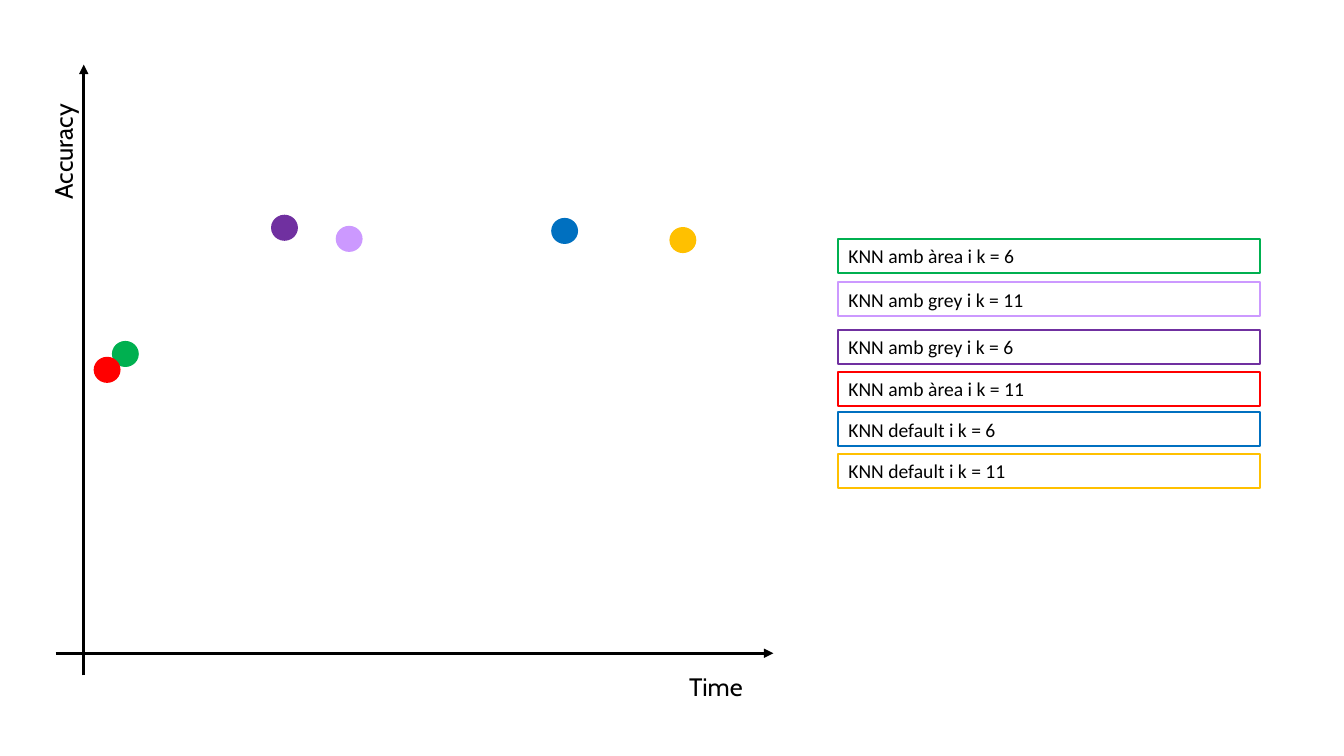
from lxml.etree import SubElement
from pptx import Presentation
from pptx.dml.color import RGBColor
from pptx.enum.shapes import MSO_CONNECTOR, MSO_SHAPE
from pptx.enum.text import MSO_ANCHOR, PP_ALIGN
from pptx.oxml.ns import qn
from pptx.util import Cm, Pt

GREEN, LILAC, PURPLE = "00B050", "CC99FF", "7030A0"
RED, BLUE, GOLD = "FF0000", "0070C0", "FFC000"
BLACK = "000000"

DOTS = [
    (12.54, 3.91, BLUE),
    (1.47, 7.01, GREEN),
    (7.11, 4.11, LILAC),
    (5.48, 3.83, PURPLE),
    (1.01, 7.41, RED),
    (15.52, 4.14, GOLD),
]
KEYS = [
    (0, "KNN amb àrea i k = 6", GREEN),
    (1.09, "KNN amb grey i k = 11", LILAC),
    (2.29, "KNN amb grey i k = 6", PURPLE),
    (3.35, "KNN amb àrea i k = 11", RED),
    (4.37, "KNN default i k = 6", BLUE),
    (5.41, "KNN default i k = 11", GOLD),
]


def paint(color):
    return RGBColor.from_string(color)


def write(shape, text, font, size):
    frame = shape.text_frame
    frame.word_wrap = True
    line = frame.paragraphs[0]
    line.alignment = PP_ALIGN.LEFT
    run = line.add_run()
    run.text = text
    run.font.name = font
    run.font.size = Pt(size)
    run.font.color.rgb = paint(BLACK)


def add_shape(slide, kind, box, color, width):
    shape = slide.shapes.add_shape(kind, *map(Cm, box))
    shape.shadow.inherit = False
    shape.line.color.rgb = paint(color)
    shape.line.width = Pt(width)
    return shape


def add_axis(slide, *ends):
    axis = slide.shapes.add_connector(MSO_CONNECTOR.STRAIGHT, *map(Cm, ends))
    axis.line.color.rgb = paint(BLACK)
    axis.line.width = Pt(2.25)
    SubElement(axis.line._get_or_add_ln(), qn("a:tailEnd"), type="triangle")
    SubElement(axis._element.spPr, qn("a:effectLst"))


def add_label(slide, left, top, text, angle):
    label = slide.shapes.add_textbox(Cm(left), Cm(top), Cm(3.63), Cm(1.02))
    label.rotation = angle
    write(label, text, "Cabin", 18)


def add_plot(slide, left, top, width, height):
    for x, y, color in DOTS:
        box = (left + x, top + y, 0.58, 0.56)
        dot = add_shape(slide, MSO_SHAPE.OVAL, box, color, 2.75)
        dot.fill.solid()
        dot.fill.fore_color.rgb = paint(color)
    right, base = left + width, top + height
    add_axis(slide, left + 0.71, base, left + 0.71, top)
    add_axis(slide, left, base - 0.56, right, base - 0.56)
    add_label(slide, right - 2.37, base - 0.23, "Time", 0)
    add_label(slide, left - 1.63, top + 1.32, "Accuracy", 270)


def add_legend(slide, left, top, width):
    for y, text, color in KEYS:
        box = (left, top + y, width, 0.86)
        key = add_shape(slide, MSO_SHAPE.RECTANGLE, box, color, 1.5)
        key.fill.background()
        key.text_frame.vertical_anchor = MSO_ANCHOR.MIDDLE
        write(key, text, "Calibri", 14)


def main():
    deck = Presentation()
    deck.slide_width, deck.slide_height = Cm(33.87), Cm(19.05)
    slide = deck.slides.add_slide(deck.slide_layouts[6])
    add_plot(slide, 1.4, 1.63, 18.09, 15.39)
    add_legend(slide, 21.13, 6.02, 10.63)
    deck.save("out.pptx")


if __name__ == "__main__":
    main()
